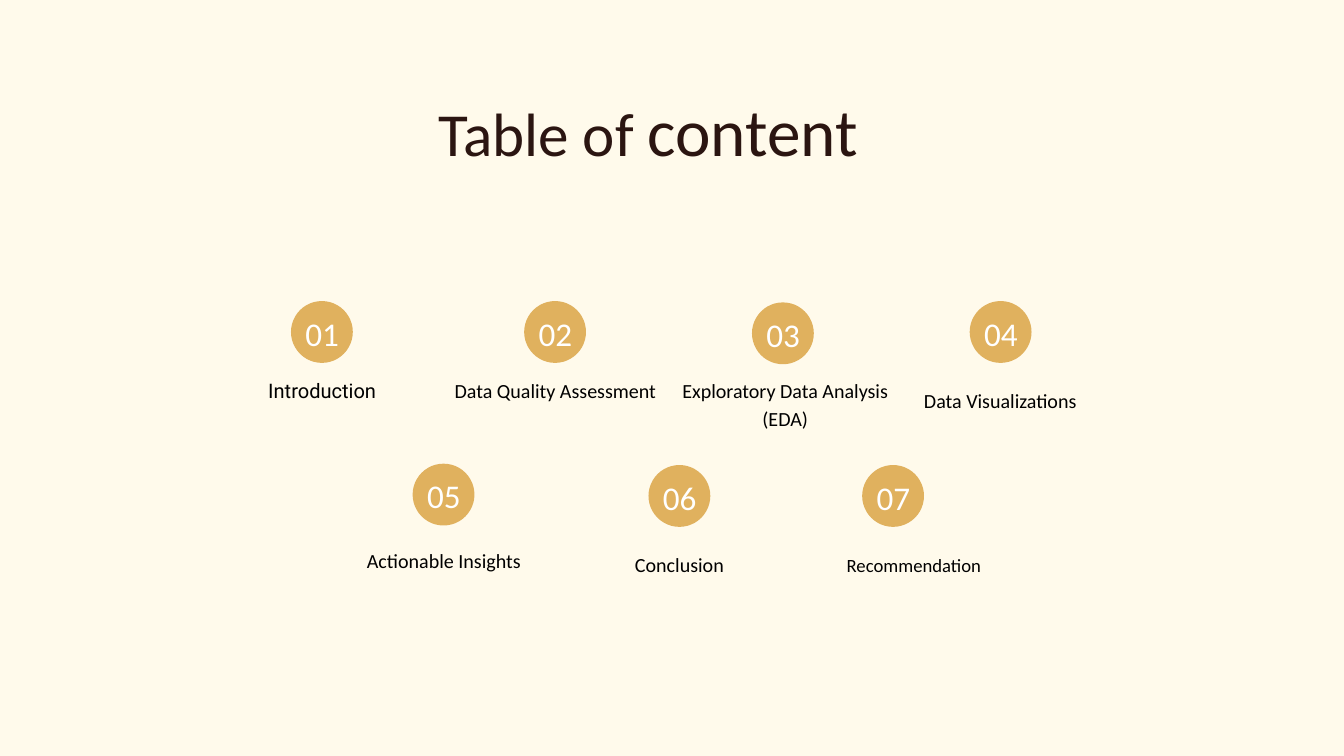
from dataclasses import dataclass

from pptx import Presentation
from pptx.dml.color import RGBColor
from pptx.enum.shapes import MSO_SHAPE
from pptx.enum.text import MSO_ANCHOR, MSO_AUTO_SIZE, PP_ALIGN
from pptx.util import Inches, Pt


@dataclass(frozen=True)
class Theme:
    background: str = "FFFAEB"
    badge: str = "E0B15E"
    title: str = "2B1511"
    number: str = "FFFFFF"
    label: str = "000000"
    font: str = "Calibri"
    first_label_font: str = "Roboto"
    title_size: float = 65.5
    title_accent_size: float = 72
    number_size: float = 35.5
    label_size: float = 21.5
    small_label_size: float = 20
    title_spacing: float = 78.5
    number_spacing: float = 49.7
    label_spacing: float = 29.9


THEME = Theme()
BADGE_SIZE = 0.92
NUMBER_BOX = (0.09, 0.02, 0.75, 0.81)

TITLE = [("Table of ", THEME.title_size), ("content", THEME.title_accent_size)]
TITLE_BOX = (5.52, 1.23, 8.25, 1.5)

# text, badge (left, top), label (left, top, width, height), font, size
ENTRIES = [
    ("Introduction", (4.33, 4.48), (2.81, 5.58, 3.97, 0.4), THEME.first_label_font, THEME.label_size),
    ("Data Quality Assessment", (7.8, 4.48), (6.53, 5.58, 3.47, 0.4), THEME.font, THEME.label_size),
    ("Exploratory Data Analysis (EDA)", (11.19, 4.5), (9.95, 5.57, 3.47, 0.82), THEME.font, THEME.label_size),
    ("Data Visualizations", (14.43, 4.48), (13.15, 5.72, 3.47, 0.4), THEME.font, THEME.label_size),
    ("Actionable Insights", (6.14, 6.9), (4.87, 8.11, 3.47, 0.4), THEME.font, THEME.label_size),
    ("Conclusion", (9.65, 6.92), (8.67, 8.16, 2.88, 0.4), THEME.font, THEME.label_size),
    ("Recommendation", (12.83, 6.92), (12.37, 8.16, 2.46, 0.4), THEME.font, THEME.small_label_size),
]


def set_text(shape, runs, color, spacing, font=THEME.font, anchor=MSO_ANCHOR.MIDDLE, inset=0):
    frame = shape.text_frame
    frame.word_wrap = True
    frame.auto_size = MSO_AUTO_SIZE.NONE
    frame.vertical_anchor = anchor
    frame.margin_left = frame.margin_right = Inches(inset)
    frame.margin_top = frame.margin_bottom = Inches(inset)
    paragraph = frame.paragraphs[0]
    paragraph.alignment = PP_ALIGN.CENTER
    paragraph.line_spacing = Pt(spacing)
    for text, size in runs:
        run = paragraph.add_run()
        run.text = text
        run.font.name = font
        run.font.size = Pt(size)
        run.font.color.rgb = RGBColor.from_string(color)


def add_title(slide):
    title = slide.shapes.title
    title.left, title.top, title.width, title.height = map(Inches, TITLE_BOX)
    set_text(title, TITLE, THEME.title, THEME.title_spacing, inset=0.06)


def add_badge(slide, number, left, top):
    group = slide.shapes.add_group_shape()
    circle = group.shapes.add_shape(
        MSO_SHAPE.OVAL, *map(Inches, (left, top, BADGE_SIZE, BADGE_SIZE)))
    circle.shadow.inherit = False
    circle.fill.solid()
    circle.fill.fore_color.rgb = RGBColor.from_string(THEME.badge)
    circle.line.fill.background()
    offset_x, offset_y, width, height = NUMBER_BOX
    number_box = group.shapes.add_textbox(
        *map(Inches, (left + offset_x, top + offset_y, width, height)))
    set_text(number_box, [(f"{number:02d}", THEME.number_size)], THEME.number, THEME.number_spacing)


def add_label(slide, text, box, font, size):
    label = slide.shapes.add_textbox(*map(Inches, box))
    set_text(label, [(text, size)], THEME.label, THEME.label_spacing, font, MSO_ANCHOR.TOP)


def main():
    presentation = Presentation()
    presentation.slide_width = Inches(20)
    presentation.slide_height = Inches(11.25)
    slide = presentation.slides.add_slide(presentation.slide_layouts.get_by_name("Title Only"))
    slide.background.fill.solid()
    slide.background.fill.fore_color.rgb = RGBColor.from_string(THEME.background)
    add_title(slide)
    for number, (text, badge, label_box, font, size) in enumerate(ENTRIES, start=1):
        add_badge(slide, number, *badge)
        add_label(slide, text, label_box, font, size)
    presentation.save("out.pptx")


if __name__ == "__main__":
    main()
